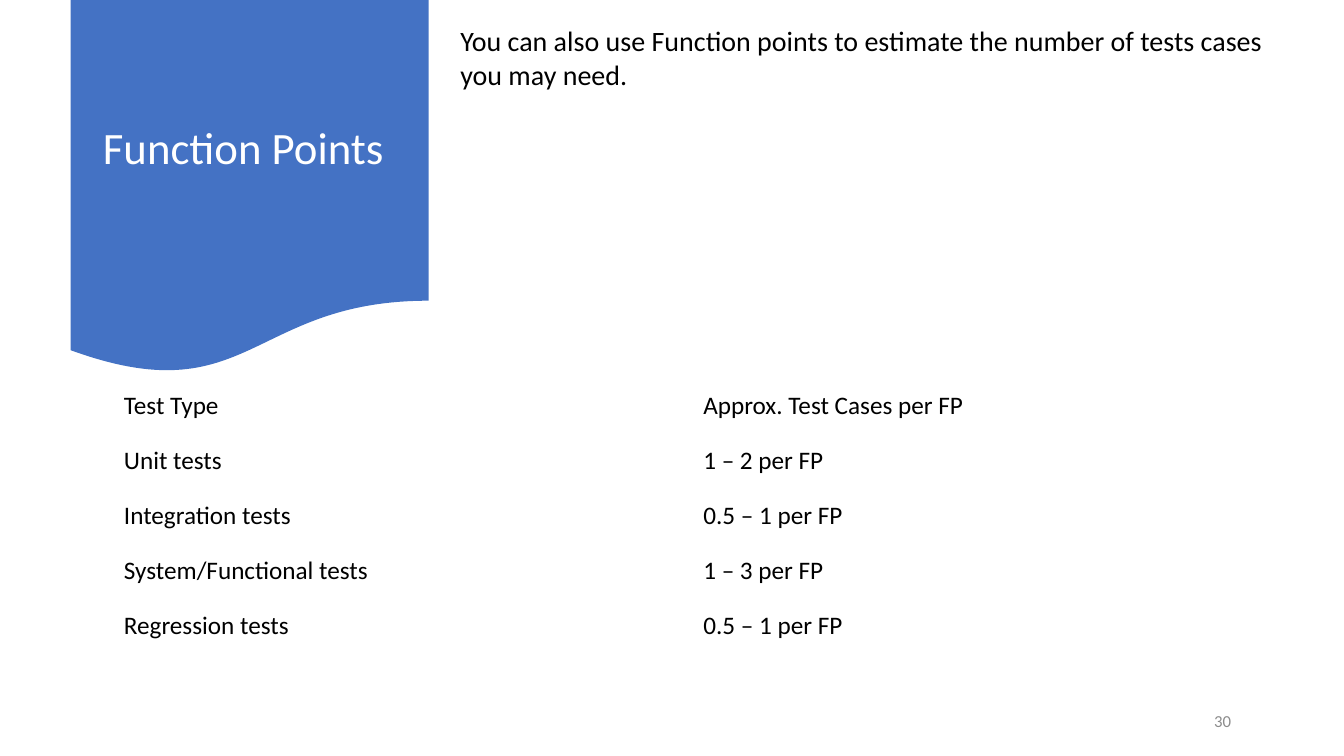
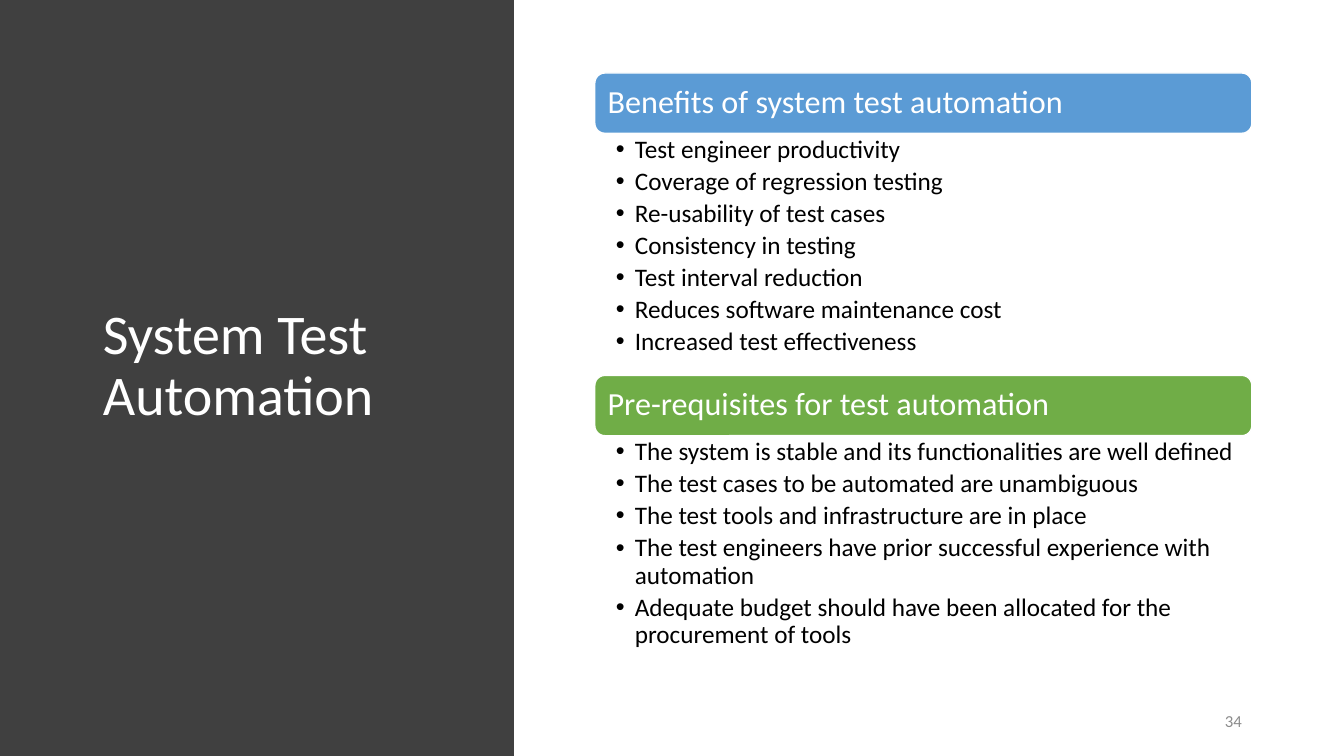
from lxml import etree
from pptx import Presentation
from pptx import util as u
from pptx.dml.color import RGBColor
from pptx.enum import shapes, text
from pptx.oxml.ns import qn

WHITE, BLACK, GREY, CHARCOAL = "FFFFFF", "000000", "8C8C8C", "404040"
BLUE, SKY, GREEN = "4472C4", "5B9BD5", "70AD47"
FONT = "Calibri"
TITLE_ONLY = 5
NUMBER_TOP, NUMBER_HEIGHT = 17.65, 1.02
BAR_HEIGHT = 1.52
BULLET_INDENT = 0.48

TEST_RATES = [
    ("Test Type", "Approx. Test Cases per FP"),
    ("Unit tests", "1 – 2 per FP"),
    ("Integration tests", "0.5 – 1 per FP"),
    ("System/Functional tests", "1 – 3 per FP"),
    ("Regression tests", "0.5 – 1 per FP"),
]
SECTIONS = [
    ("Benefits of system test automation", SKY, 6.1, [
        "Test engineer productivity",
        "Coverage of regression testing",
        "Re-usability of test cases",
        "Consistency in testing",
        "Test interval reduction",
        "Reduces software maintenance cost",
        "Increased test effectiveness",
    ]),
    ("Pre-requisites for test automation", GREEN, 5.7, [
        "The system is stable and its functionalities are well defined",
        "The test cases to be automated are unambiguous",
        "The test tools and infrastructure are in place",
        "The test engineers have prior successful experience with automation",
        "Adequate budget should have been allocated for the procurement of tools",
    ]),
]


def colour(value):
    return RGBColor.from_string(value)


def lengths(box):
    return [u.Cm(value) for value in box]


def set_all(target, **values):
    for name, value in values.items():
        setattr(target, name, value)


def add_bullet(para):
    properties = para._p.get_or_add_pPr()
    indent = u.Cm(BULLET_INDENT)
    properties.set("marL", str(indent))
    properties.set("indent", str(-indent))
    etree.SubElement(properties, qn("a:buFont")).set("typeface", "Arial")
    etree.SubElement(properties, qn("a:buChar")).set("char", "•")


def write(frame, lines, size, ink=BLACK, bullets=False, frame_format=None, **para_format):
    set_all(frame, word_wrap=True, auto_size=text.MSO_AUTO_SIZE.NONE, **(frame_format or {}))
    for index, line in enumerate(lines):
        para = frame.paragraphs[0] if index == 0 else frame.add_paragraph()
        if bullets:
            add_bullet(para)
        set_all(para, **{"alignment": text.PP_ALIGN.LEFT, **para_format})
        span = para.add_run()
        span.text = line
        set_all(span.font, name=FONT, size=u.Pt(size), bold=False)
        span.font.color.rgb = colour(ink)


def add_text(page, box, lines, size, **options):
    write(page.shapes.add_textbox(*lengths(box)).text_frame, lines, size, **options)


def add_panel(page, kind, box, fill, line=None):
    panel = page.shapes.add_shape(kind, *lengths(box))
    panel.shadow.inherit = False
    panel.fill.solid()
    panel.fill.fore_color.rgb = colour(fill)
    if line:
        panel.line.color.rgb = colour(line)
        panel.line.width = u.Pt(1)
    else:
        panel.line.fill.background()
    return panel


def add_titled_page(deck, title, size, title_box, kind, panel_box, fill):
    """Add a slide whose white title lies on a coloured panel."""
    page = deck.slides.add_slide(deck.slide_layouts[TITLE_ONLY])
    holder = page.shapes.title
    panel = add_panel(page, kind, panel_box, fill)
    holder.element.addprevious(panel.element)
    left, top, width, height = lengths(title_box)
    set_all(holder, left=left, top=top, width=width, height=height)
    write(holder.text_frame, [title], size, ink=WHITE, line_spacing=0.9,
          frame_format={"vertical_anchor": text.MSO_ANCHOR.MIDDLE})
    return page


def add_number(page, number, left, width, alignment):
    add_text(page, (left, NUMBER_TOP, width, NUMBER_HEIGHT), [number], 12, ink=GREY,
             alignment=alignment, frame_format={"vertical_anchor": text.MSO_ANCHOR.MIDDLE})


def add_rate_table(page, box, rows):
    frame = page.shapes.add_table(len(rows), len(rows[0]), *lengths(box))
    table = frame.table
    set_all(table, first_row=False, horz_banding=False)
    for row_index, row in enumerate(rows):
        for column_index, value in enumerate(row):
            cell = table.cell(row_index, column_index)
            cell.fill.background()
            cell.vertical_anchor = text.MSO_ANCHOR.MIDDLE
            write(cell.text_frame, [value], 18)


def add_section(page, box, heading, fill, points):
    """Place a coloured heading bar with its bullet list below."""
    left, top, width, height = box
    bar = add_panel(page, shapes.MSO_SHAPE.ROUNDED_RECTANGLE,
                    (left, top, width, BAR_HEIGHT), fill, WHITE)
    write(bar.text_frame, [heading], 23, ink=WHITE, line_spacing=0.9,
          frame_format={"vertical_anchor": text.MSO_ANCHOR.MIDDLE})
    add_text(page, (left, top + BAR_HEIGHT, width, height - BAR_HEIGHT), points, 18,
             bullets=True, line_spacing=0.9, space_after=u.Pt(3.5),
             frame_format={"margin_left": u.Cm(0.53), "margin_right": u.Cm(0.46),
                           "margin_top": u.Cm(0.08), "margin_bottom": u.Cm(0.08)})


def add_function_points(deck):
    page = add_titled_page(deck, "Function Points", 32, (2.34, 0.48, 7.9, 6.58),
                           shapes.MSO_SHAPE.FLOWCHART_DOCUMENT, (1.78, 0, 9.02, 9.45), BLUE)
    add_number(page, "30", 30.35, 1.73, text.PP_ALIGN.LEFT)
    add_text(page, (11.35, 0.48, 21.36, 1.96),
             ["You can also use Function points to estimate the number of tests cases you may need."], 20)
    add_rate_table(page, (2.87, 9.53, 29.2, 6.93), TEST_RATES)


def add_test_automation(deck):
    page = add_titled_page(deck, "System Test Automation", 40, (2.34, 1.73, 9.32, 15.04),
                           shapes.MSO_SHAPE.RECTANGLE, (0, 0, 12.95, 19.05), CHARCOAL)
    top = 1.84
    for heading, fill, list_height, points in SECTIONS:
        height = BAR_HEIGHT + list_height
        add_section(page, (14.99, top, 16.56, height), heading, fill, points)
        top += height
    add_number(page, "34", 23.93, 7.62, text.PP_ALIGN.RIGHT)


def main():
    deck = Presentation()
    set_all(deck, slide_width=u.Cm(33.87), slide_height=u.Cm(19.05))
    add_function_points(deck)
    add_test_automation(deck)
    deck.save("out.pptx")


if __name__ == "__main__":
    main()
